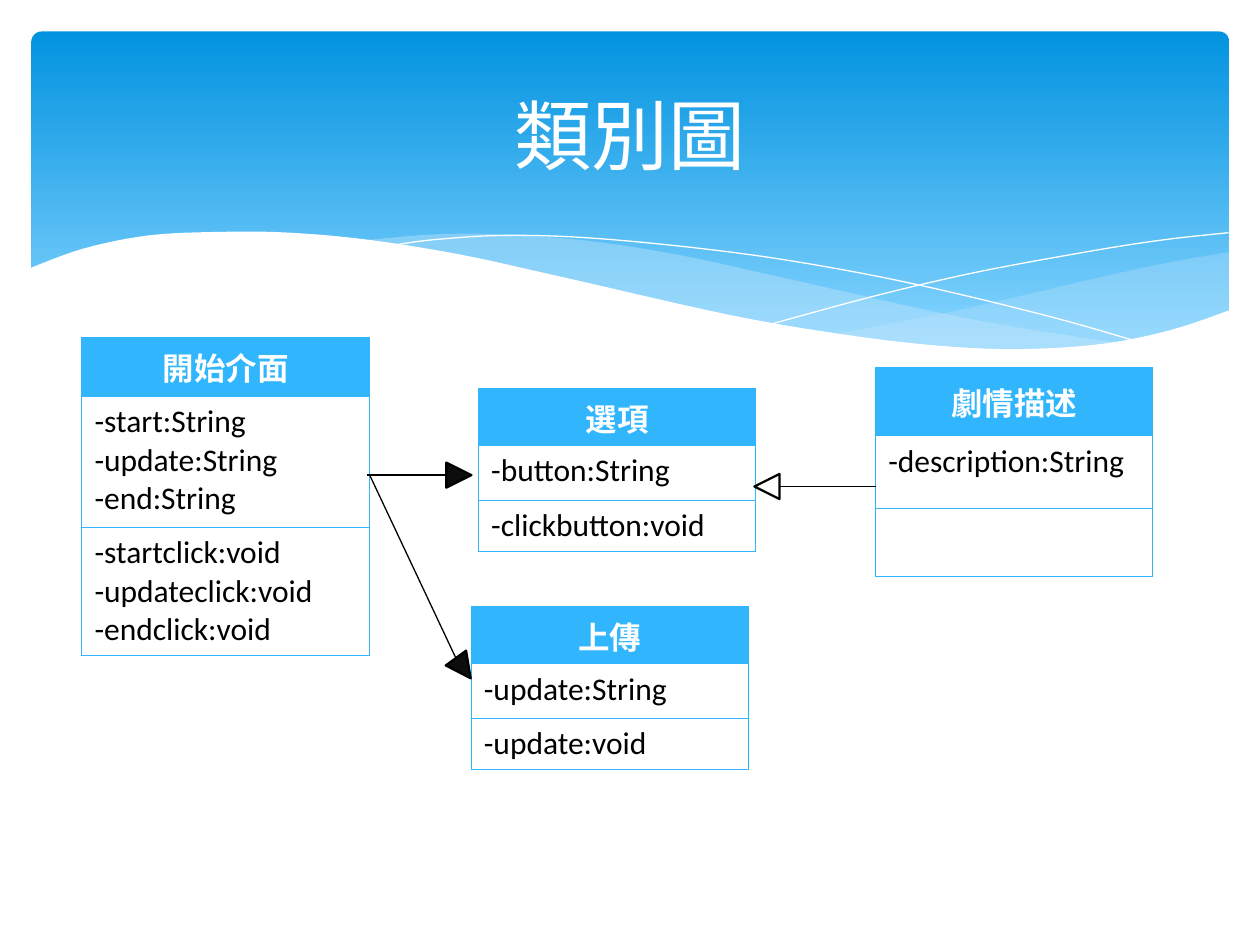
from math import cos, radians, sin

from lxml.etree import SubElement
from pptx import Presentation
from pptx.dml.color import RGBColor
from pptx.enum.shapes import MSO_CONNECTOR, MSO_SHAPE
from pptx.enum.text import MSO_ANCHOR, PP_ALIGN
from pptx.oxml.ns import qn
from pptx.util import Pt

COLORS = {
    "sky_top": "0293E0", "sky_bottom": "83D3FE", "haze": "C6E7FC",
    "white": "FFFFFF", "black": "000000", "class_blue": "31B6FD", "arrow_dark": "0D0D0D",
}
FONT = "Calibri"
HEAD = 14.4

RIGHT_HAZE = (
    [(684.5, 126), (645, 133), (602, 142.5), (524, 160.5), (458, 173)],
    [(458, 173), (489.5, 177), (527, 180.5), (560, 182), (597, 180.5), (628, 176.5),
     (655, 170.5), (684.5, 160)],
)
LEFT_HAZE = (
    [(625, 178.5), (563, 169), (515.5, 160), (435, 142), (371.5, 128), (317, 119.5),
     (269.5, 116), (229.5, 116), (188, 119.5)],
    [(188, 119.5), (228, 125.5), (273, 134), (335.5, 149), (402.5, 163.5), (461, 173.5),
     (512, 180), (555, 182), (592.5, 181.5), (625, 178.5)],
)
FALLING_LINE = [(204.5, 122.5), (229.5, 119), (270.5, 116.5), (319.5, 118), (382.5, 124),
                (440, 132), (505.5, 144.5), (580.5, 162.5), (635, 178)]
RISING_LINE = [(423.5, 167), (482.5, 151), (540.5, 137.5), (605.5, 125.5), (647.5, 119),
               (684, 115)]
FRONT_WAVE = (
    [(685.5, 159), (651.5, 170.5), (612, 178.5), (564.5, 181.5), (517.5, 179.5), (463, 173),
     (399, 162), (304, 140.5), (245, 127.5), (192, 119), (147.5, 115), (109.5, 114.5),
     (67.5, 116.5), (30, 124), (-1.5, 135.5)],
    [(-1.5, 219), (685.5, 219)],
)

CLASSES = [
    ((46.8, 193, 164.2), (33.5, 75, 73.2), "開始介面",
     ["-start:String", "-update:String", "-end:String"],
     ["-startclick:void", "-updateclick:void", "-endclick:void"]),
    ((273.5, 221.8, 158.4), (32.8, 31.2, 29.2), "選項", ["-button:String"], ["-clickbutton:void"]),
    ((500.4, 210.2, 158.4), (38.8, 41.6, 38.8), "劇情描述", ["-description:String"], []),
    ((269.3, 346.6, 158.4), (32.8, 31.2, 29.2), "上傳", ["-update:String"], ["-update:void"]),
]
ARROWS = [
    ((500.5, 278), (445.5, 278), 270, "white"),
    ((209.5, 271.5), (255, 271.5), 90, "arrow_dark"),
    ((211.5, 272), (260.5, 376), 144, "arrow_dark"),
]


def rgb(name):
    return RGBColor.from_string(COLORS[name])


def smooth(knots, steps=6):
    padded = [knots[0], *knots, knots[-1]]
    curve = [knots[0]]
    for a, b, c, d in zip(padded, padded[1:], padded[2:], padded[3:]):
        for step in range(1, steps + 1):
            t = step / steps
            curve.append(tuple(
                0.5 * (2 * q + (r - p) * t + (2 * p - 5 * q + 4 * r - s) * t**2
                       + (3 * q - p - 3 * r + s) * t**3)
                for p, q, r, s in zip(a, b, c, d)))
    return curve


def add_run(paragraph, text, size, color, bold=False):
    run = paragraph.add_run()
    run.text = text
    run.font.name = FONT
    run.font.size = Pt(size)
    run.font.bold = bold
    run.font.color.rgb = rgb(color)


def add_outline(slide, origin, points, closed):
    placed = [(Pt(origin[0] + x), Pt(origin[1] + y)) for x, y in points]
    builder = slide.shapes.build_freeform(*placed[0], scale=1.0)
    builder.add_line_segments(placed[1:], close=closed)
    outline = builder.convert_to_shape()
    outline.shadow.inherit = False
    return outline


def add_wave(slide, origin, points, color, opacity=100):
    wave = add_outline(slide, origin, points, True)
    wave.fill.solid()
    wave.fill.fore_color.rgb = rgb(color)
    wave.line.fill.background()
    if opacity < 100:
        tint = wave.fill._xPr.find(qn("a:solidFill"))[0]
        SubElement(tint, qn("a:alpha")).set("val", str(opacity * 1000))


def add_banner(slide, left, top, width, height):
    sky = slide.shapes.add_shape(
        MSO_SHAPE.ROUNDED_RECTANGLE, Pt(left), Pt(top), Pt(width), Pt(height))
    sky.adjustments[0] = 0.03
    sky.shadow.inherit = False
    sky.line.fill.background()
    sky.fill.gradient()
    sky.fill.gradient_angle = 270
    for stop, position, color in zip(
            sky.fill.gradient_stops, (0, 0.9), ("sky_top", "sky_bottom")):
        stop.position = position
        stop.color.rgb = rgb(color)

    origin = (left, top)
    for (upper, lower), opacity in ((RIGHT_HAZE, 29), (LEFT_HAZE, 40)):
        add_wave(slide, origin, smooth(upper) + smooth(lower), "haze", opacity)
    for knots in (FALLING_LINE, RISING_LINE):
        ripple = add_outline(slide, origin, smooth(knots), False)
        ripple.fill.background()
        ripple.line.color.rgb = rgb("white")
        ripple.line.width = Pt(0)
    crest, base = FRONT_WAVE
    add_wave(slide, origin, smooth(crest) + base, "white")


def add_title(slide, left, top, width, height, text):
    title = slide.shapes.add_textbox(Pt(left), Pt(top), Pt(width), Pt(height)).text_frame
    title.word_wrap = True
    title.vertical_anchor = MSO_ANCHOR.MIDDLE
    title.paragraphs[0].alignment = PP_ALIGN.CENTER
    add_run(title.paragraphs[0], text, 44, "white")


def add_borders(cell):
    properties = cell._tc.get_or_add_tcPr()
    for side in ("lnL", "lnR", "lnT", "lnB"):
        border = SubElement(properties, qn(f"a:{side}"), w=str(Pt(0.75)))
        fill = SubElement(border, qn("a:solidFill"))
        SubElement(fill, qn("a:srgbClr"), val=COLORS["class_blue"])


def add_class(slide, left, top, width, heights, name, fields, methods):
    box = slide.shapes.add_table(
        3, 1, Pt(left), Pt(top), Pt(width), Pt(sum(heights))).table
    box.horz_banding = False
    for index, (height, lines) in enumerate(zip(heights, ([name], fields, methods))):
        box.rows[index].height = Pt(height)
        cell = box.cell(index, 0)
        add_borders(cell)
        heading = index == 0
        if heading:
            cell.fill.solid()
            cell.fill.fore_color.rgb = rgb("class_blue")
            cell.vertical_anchor = MSO_ANCHOR.MIDDLE
        else:
            cell.fill.background()
        for number, line in enumerate(lines):
            frame = cell.text_frame
            paragraph = frame.add_paragraph() if number else frame.paragraphs[0]
            if heading:
                paragraph.alignment = PP_ALIGN.CENTER
            add_run(paragraph, line, 18, "white" if heading else "black", heading)


def add_arrow(slide, tail, neck, turn, color):
    stem = slide.shapes.add_connector(
        MSO_CONNECTOR.STRAIGHT, *(Pt(value) for value in (*tail, *neck)))
    stem.line.color.rgb = rgb("black")
    stem.line.width = Pt(0.75)
    SubElement(stem._element.spPr, qn("a:effectLst"))

    center_x = neck[0] + HEAD / 2 * sin(radians(turn))
    center_y = neck[1] - HEAD / 2 * cos(radians(turn))
    head = slide.shapes.add_shape(
        MSO_SHAPE.ISOSCELES_TRIANGLE, Pt(center_x - HEAD / 2), Pt(center_y - HEAD / 2),
        Pt(HEAD), Pt(HEAD))
    head.rotation = turn
    head.shadow.inherit = False
    head.fill.solid()
    head.fill.fore_color.rgb = rgb(color)
    head.line.color.rgb = rgb("black")
    head.line.width = Pt(1.25)


def build():
    deck = Presentation()
    deck.slide_width, deck.slide_height = Pt(720), Pt(540)
    slide = deck.slides.add_slide(deck.slide_layouts[6])
    add_banner(slide, 18, 18, 684.5, 194.4)
    add_title(slide, 36, 27, 648, 98.5, "類別圖")
    for place, heights, name, fields, methods in CLASSES:
        add_class(slide, *place, heights, name, fields, methods)
    for arrow in ARROWS:
        add_arrow(slide, *arrow)
    deck.save("out.pptx")


build()
